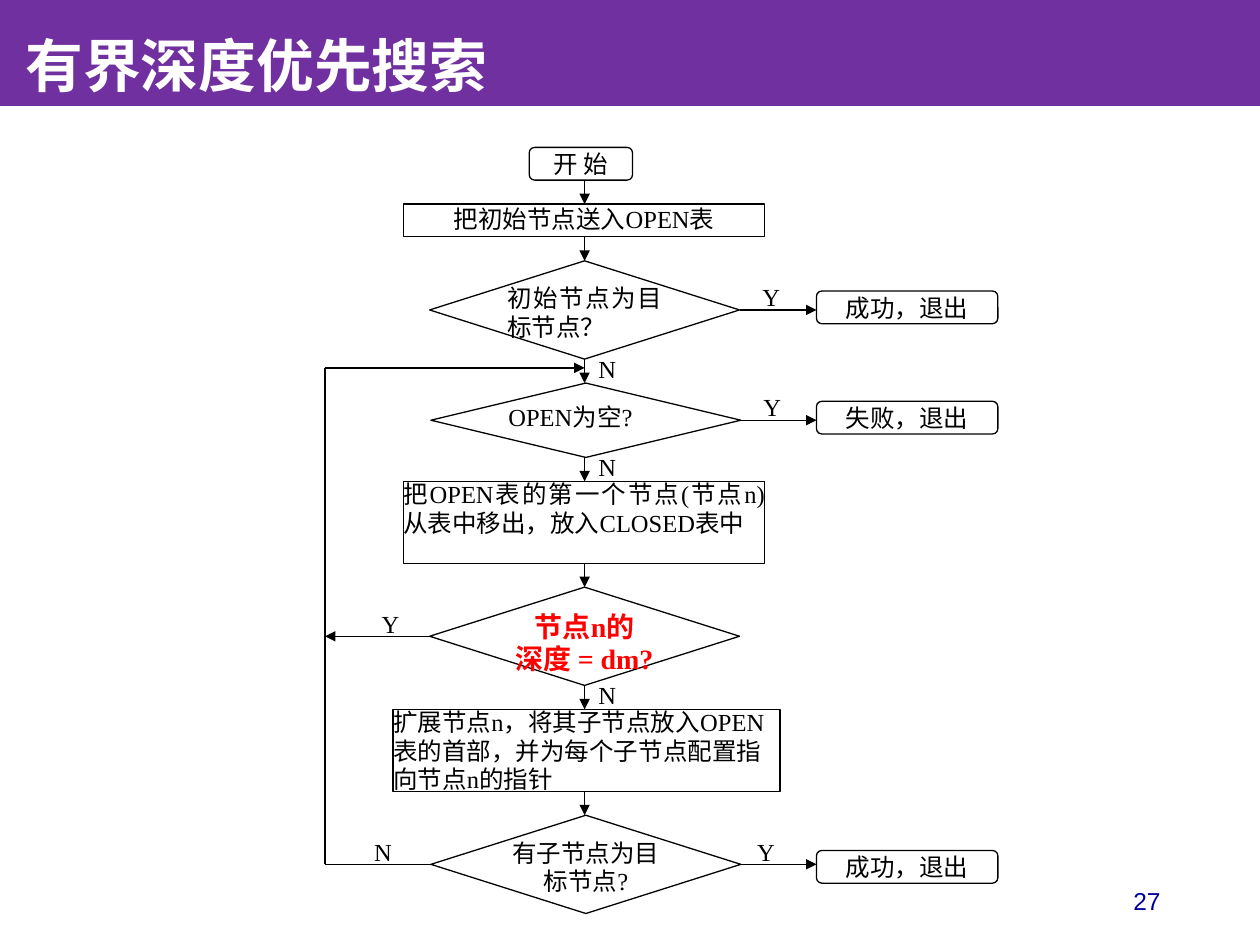
from pptx import Presentation
from pptx.dml.color import RGBColor
from pptx.enum.shapes import MSO_CONNECTOR as Conn, MSO_SHAPE as Kind
from pptx.enum.text import MSO_ANCHOR as Anchor, PP_ALIGN as Align
from pptx.oxml.ns import qn
from pptx.util import Inches, Pt
from lxml.etree import SubElement

BLACK = RGBColor(0, 0, 0)
WHITE = RGBColor(255, 255, 255)
RED = RGBColor(255, 0, 0)
NAVY = RGBColor(0, 0, 0x99)
PURPLE = RGBColor(0x70, 0x30, 0xA0)

RECT, DIAMOND, ROUND = Kind.RECTANGLE, Kind.DIAMOND, Kind.FLOWCHART_ALTERNATE_PROCESS
GAP = 0.19
SPINE = 2.06
LOW = 0.26
STEPS = [
    ("start", ROUND, 1.62, 0.82, LOW, "开 始", {}),
    ("init", RECT, 0.62, 2.87, LOW, "把初始节点送入OPEN表", {}),
    ("first", Kind.FLOWCHART_DECISION, 0.83, 2.46, 0.78, "初始节点为目标节点？",
     dict(align=Align.JUSTIFY, space=0.96)),
    ("empty", DIAMOND, 0.84, 2.46, 0.59, "OPEN为空?", dict(align=Align.JUSTIFY)),
    ("move", RECT, 0.62, 2.87, 0.65, "把OPEN表的第一个节点(节点n)从表中移出，放入CLOSED表中",
     dict(align=Align.JUSTIFY, space=0.96)),
    ("depth", DIAMOND, 0.83, 2.46, 0.78, "节点n的\n深度 = dm?",
     dict(size=16, bold=True, color=RED, space=0.96)),
    ("expand", RECT, 0.54, 3.07, 0.65, "扩展节点n，将其子节点放入OPEN表的首部，并为每个子节点配置指向节点n的指针",
     dict(align=Align.LEFT, space=0.96)),
    ("goal", DIAMOND, 0.84, 2.46, 0.78, "有子节点为目标节点?", dict(space=0.96)),
]
EXITS = [("first", Kind.ROUNDED_RECTANGLE, "成功，退出", 0.15, 3.47),
         ("empty", ROUND, "失败，退出", 0.15, 3.48),
         ("goal", ROUND, "成功，退出", 0.11, 3.43)]


def write(shape, text, size=14, font="Times New Roman", color=BLACK, bold=False,
          align=Align.CENTER, anchor=Anchor.TOP, space=None, pad=(0, 0)):
    """Fill a shape with formatted text, one paragraph per line."""
    frame = shape.text_frame
    frame.word_wrap = True
    frame.vertical_anchor = anchor
    frame.margin_left = frame.margin_right = Inches(pad[0])
    frame.margin_top = frame.margin_bottom = Inches(pad[1])
    frame.text = text
    for para in frame.paragraphs:
        para.alignment = align
        para.line_spacing = space
        for run in para.runs:
            run.font.size = Pt(size)
            run.font.name = font
            run.font.bold = bold
            run.font.color.rgb = color


def node(slide, kind, box, text, **style):
    """Draw an outlined flow step."""
    shape = slide.shapes.add_shape(kind, *map(Inches, box))
    shape.shadow.inherit = False
    shape.fill.background()
    shape.line.color.rgb = BLACK
    shape.line.width = Pt(0.75)
    write(shape, text, **style)


def label(slide, left, top, text):
    """Place a branch letter."""
    box = slide.shapes.add_textbox(*map(Inches, (left, top, 0.2, LOW)))
    write(box, text, align=Align.JUSTIFY)


def link(slide, start, end, arrow=True):
    """Draw a thin line, with an arrowhead at its end if asked."""
    line = slide.shapes.add_connector(Conn.STRAIGHT, *map(Inches, start + end))
    line.line.color.rgb = BLACK
    line.line.width = Pt(0.75)
    if arrow:
        SubElement(line.line._get_or_add_ln(), qn("a:tailEnd"), type="triangle")
    SubElement(line._element.spPr, qn("a:effectLst"))


def flow(slide, left, top):
    """Stack the steps, then add exits and the loop back."""
    tops, mids = {}, {}
    spine, y = left + SPINE, top
    for name, kind, dx, wide, high, text, style in STEPS:
        node(slide, kind, (left + dx, y, wide, high), text, **style)
        tops[name], mids[name] = y, y + high / 2
        y += high
        if name != "goal":
            link(slide, (spine, y), (spine, y + GAP))
        if name in ("first", "empty", "depth"):
            label(slide, spine + 0.11, y - 0.04, "N")
        y += GAP
    for name, kind, text, rise, dx in EXITS:
        mid = mids[name]
        link(slide, (left + 3.29, mid), (left + 3.9, mid))
        node(slide, kind, (left + 3.9, mid - rise, 1.44, LOW), text)
        label(slide, left + dx, mid - 0.22, "Y")
    back = tops["empty"] - 0.12
    for name, text, dx, arrow in (("depth", "Y", 0.45, True), ("goal", "N", 0.39, False)):
        mid = mids[name]
        link(slide, (left + 0.84, mid), (left, mid), arrow)
        label(slide, left + dx, mid - 0.22, text)
    link(slide, (left, mids["goal"]), (left, back), False)
    link(slide, (left, back), (spine, back))


def header(slide, left, top, wide, high):
    """Draw the title band."""
    band = slide.shapes.add_shape(RECT, *map(Inches, (left, top, wide, high)))
    band.shadow.inherit = False
    band.fill.solid()
    band.fill.fore_color.rgb = PURPLE
    band.line.fill.background()
    write(band, " 有界深度优先搜索", size=33, color=WHITE, bold=True, align=Align.LEFT,
          anchor=Anchor.BOTTOM, space=0.9, pad=(0.1, 0.05))


def footer(slide, left, top, wide, high):
    """Place the page number."""
    box = slide.shapes.add_textbox(*map(Inches, (left, top, wide, high)))
    write(box, "27", font="Arial", color=NAVY, align=Align.RIGHT,
          anchor=Anchor.MIDDLE, pad=(0.1, 0.05))


def main():
    """Build the slide and save it."""
    deck = Presentation()
    deck.slide_width, deck.slide_height = Inches(10), Inches(7.5)
    slide = deck.slides.add_slide(deck.slide_layouts[6])
    footer(slide, 7.06, 6.95, 2.25, 0.4)
    flow(slide, 2.58, 1.17)
    header(slide, 0, 0, 10, 0.84)
    deck.save("out.pptx")


if __name__ == "__main__":
    main()
